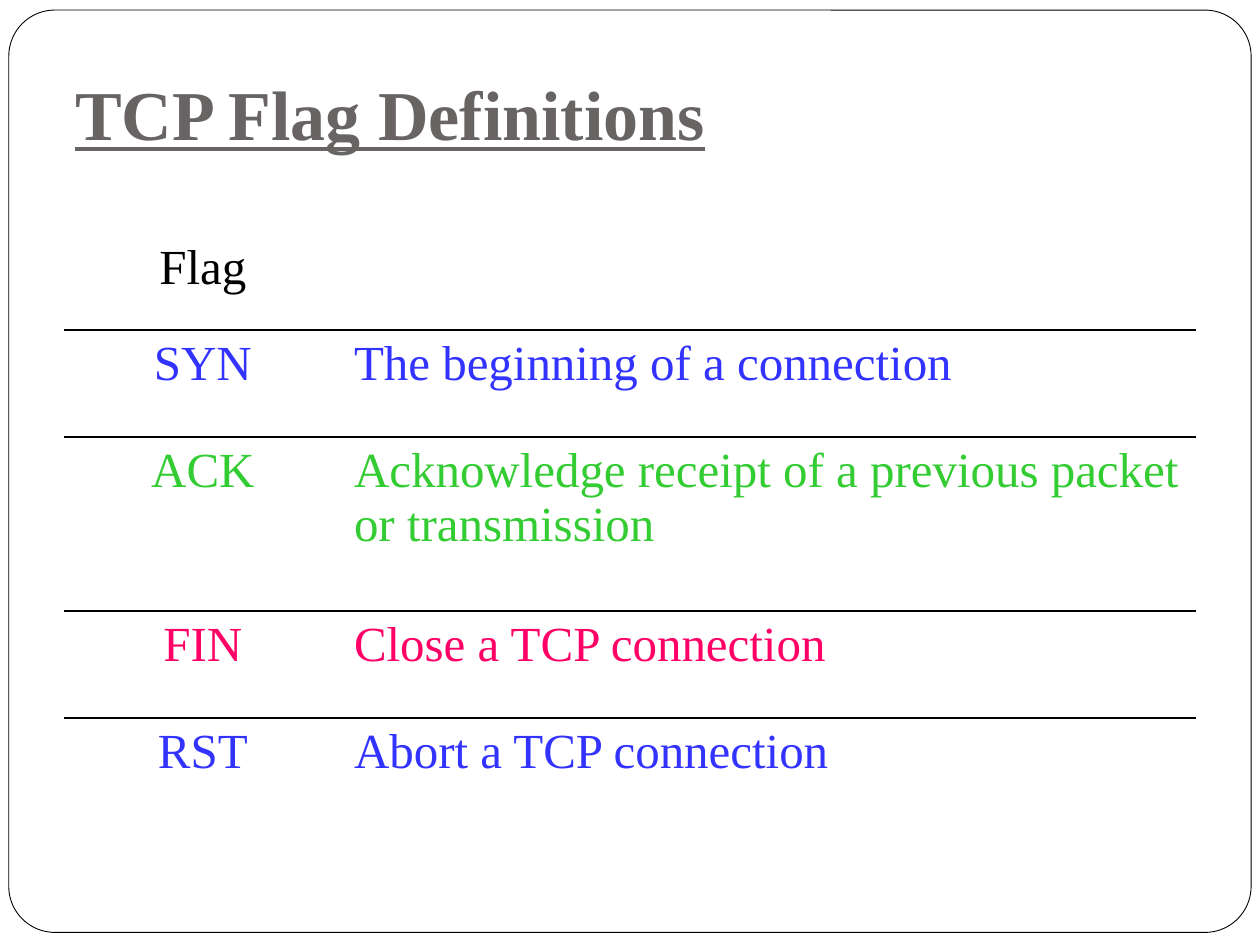
from lxml import etree
from pptx import Presentation
from pptx.dml.color import RGBColor
from pptx.enum.shapes import MSO_SHAPE
from pptx.enum.text import MSO_ANCHOR, PP_ALIGN
from pptx.oxml.ns import qn
from pptx.util import Inches, Pt

ROUNDED = MSO_SHAPE.ROUNDED_RECTANGLE
BOTTOM = MSO_ANCHOR.BOTTOM
LEFT, CENTER = PP_ALIGN.LEFT, PP_ALIGN.CENTER

TITLE = "TCP Flag Definitions"
FLAGS = [
    ("Flag", "", "black", 0.76),
    ("SYN", "The beginning of a connection", "blue", 0.85),
    ("ACK", "Acknowledge receipt of a previous packet or transmission", "green", 1.38),
    ("FIN", "Close a TCP connection", "pink", 0.85),
    ("RST", "Abort a TCP connection", "blue", 0.85),
]
COLUMNS = [(2.2, CENTER), (6.78, LEFT)]

THEME = {
    "font": "Times New Roman",
    "title_size": 40, "body_size": 28, "rule": 1, "frame": 0.5,
    "white": "FFFFFF", "black": "000000", "gray": "696464",
    "blue": "3333FF", "green": "33CC33", "pink": "FF0066",
}
NO_STYLE = "{2D5ABB26-0587-4C30-8999-92F81FD0307C}"


def color(name):
    return RGBColor.from_string(THEME[name])


def write(p, text, size, ink, **formats):
    r = p.add_run()
    r.text = text
    formats.update(name=THEME["font"], size=Pt(THEME[size]))
    for key, value in formats.items():
        setattr(r.font, key, value)
    r.font.color.rgb = color(ink)


def add_border(cell, side):
    tc_pr = cell._tc.get_or_add_tcPr()
    ln = etree.SubElement(tc_pr, qn(f"a:{side}"), w=str(Pt(THEME["rule"])))
    fill = etree.SubElement(ln, qn("a:solidFill"))
    etree.SubElement(fill, qn("a:srgbClr"), val=THEME["black"])


def add_frame(s):
    sp = s.shapes.add_shape(ROUNDED, Inches(0.07), Inches(0.08), Inches(9.86), Inches(7.32))
    sp.adjustments[0] = 0.05
    sp.shadow.inherit = False
    sp.fill.solid()
    sp.fill.fore_color.rgb = color("white")
    sp.line.color.rgb = color("black")
    sp.line.width = Pt(THEME["frame"])


def add_title(s):
    tf = s.shapes.add_textbox(Inches(0.5), Inches(0.08), Inches(9), Inches(1.25)).text_frame
    formats = {"word_wrap": True, "vertical_anchor": BOTTOM, "margin_bottom": Inches(0.1)}
    for key, value in formats.items():
        setattr(tf, key, value)
    write(tf.paragraphs[0], TITLE, "title_size", "gray", bold=True, underline=True)


def add_flag_table(s):
    width = sum(w for w, _ in COLUMNS)
    height = sum(row[-1] for row in FLAGS)
    table = s.shapes.add_table(len(FLAGS), len(COLUMNS), Inches(0.51), Inches(1.86),
                               Inches(width), Inches(height)).table
    table.first_row = table.horz_banding = False
    table._tbl.tblPr.find(qn("a:tableStyleId")).text = NO_STYLE
    for column, (w, _) in zip(table.columns, COLUMNS):
        column.width = Inches(w)
    for i, (*texts, ink, h) in enumerate(FLAGS):
        table.rows[i].height = Inches(h)
        for j, (text, (_, align)) in enumerate(zip(texts, COLUMNS)):
            cell = table.cell(i, j)
            if i > 0:
                add_border(cell, "lnT")
            if i < len(FLAGS) - 1:
                add_border(cell, "lnB")
            cell.fill.background()
            p = cell.text_frame.paragraphs[0]
            p.alignment = align
            if text:
                write(p, text, "body_size", ink)


def main():
    prs = Presentation()
    prs.slide_width, prs.slide_height = Inches(10), Inches(7.5)
    s = prs.slides.add_slide(prs.slide_layouts[6])
    add_frame(s)
    add_title(s)
    add_flag_table(s)
    prs.save("out.pptx")


if __name__ == "__main__":
    main()
